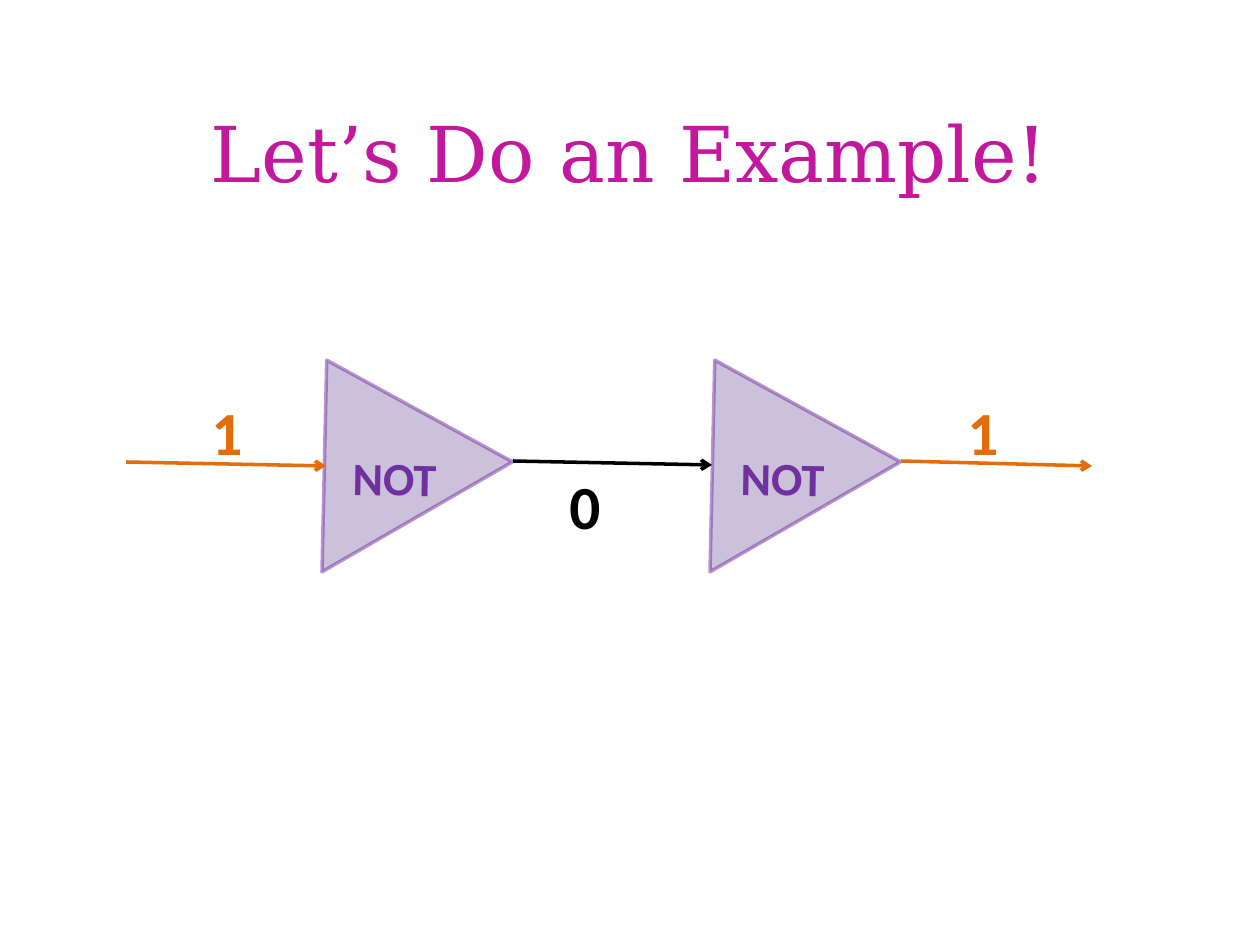
"""Build a slide that follows a bit through two chained NOT gates."""
from dataclasses import dataclass

from lxml.etree import SubElement
from pptx import Presentation
from pptx.dml.color import RGBColor as RGB
from pptx.enum.shapes import MSO_CONNECTOR as Connector, MSO_SHAPE as Shape
from pptx.enum.text import MSO_ANCHOR as Anchor, MSO_AUTO_SIZE as AutoSize, PP_ALIGN as Align
from pptx.oxml.ns import qn
from pptx.util import Emu, Pt


@dataclass(frozen=True)
class Theme:
    heading: str = "C2189E"
    gate: str = "B3A2C7"
    gate_ink: str = "7030A0"
    outer: str = "E46C0A"
    inner: str = "000000"
    heading_font: str = "DejaVu Serif"
    body_font: str = "Calibri"
    heading_size: float = 44
    gate_size: float = 26.5
    bit_size: float = 35
    stroke: float = 2


theme = Theme()


def px(*lengths):
    return [Emu(round(length * 914400 / 126)) for length in lengths]


def write(frame, words, font, size, color, bold=True):
    run = frame.paragraphs[0].add_run()
    run.text = words
    run.font.name = font
    run.font.size = Pt(size)
    run.font.bold = bold
    run.font.color.rgb = RGB.from_string(color)


deck = Presentation()
deck.slide_width, deck.slide_height = px(1260, 945)
slide = deck.slides.add_slide(deck.slide_layouts[6])
shapes = slide.shapes

heading = shapes.add_textbox(*px(63, 73, 1134, 158)).text_frame
heading.word_wrap = True
heading.vertical_anchor = Anchor.MIDDLE
heading.paragraphs[0].alignment = Align.CENTER
write(heading, "Let’s Do an Example!", theme.heading_font, theme.heading_size, theme.heading, False)

for left in (262, 650):
    gate = shapes.add_shape(Shape.ISOSCELES_TRIANGLE, *px(left, 348, 220, 181))
    gate.rotation = 330
    gate.shadow.inherit = False
    gate.fill.solid()
    gate.fill.fore_color.rgb = RGB.from_string(theme.gate)
    gate.line.color.rgb = RGB.from_string(theme.gate_ink)
    gate.line.width = Pt(theme.stroke)
    for paint, opacity in ((gate.fill, 66000), (gate.line.fill, 50000)):
        color = paint._xPr.find(".//" + qn("a:srgbClr")) if paint is gate.fill else gate.line._ln.find(".//" + qn("a:srgbClr"))
        SubElement(color, qn("a:alpha"), val=str(opacity))
    name = gate.text_frame
    name.word_wrap = False
    name.vertical_anchor = Anchor.MIDDLE
    name._txBody.bodyPr.set("rot", "1860000")
    name.paragraphs[0].alignment = Align.CENTER
    write(name, "NOT", theme.body_font, theme.gate_size, theme.gate_ink)

signals = [
    ("1", theme.outer, (126, 462, 326, 466), (199, 388)),
    ("1", theme.outer, (901, 461, 1092, 466), (955, 388)),
    ("0", theme.inner, (513, 461, 712, 465), (557, 462)),
]
for bit, color, ends, corner in signals:
    wire = shapes.add_connector(Connector.STRAIGHT, *px(*ends))
    wire.line.color.rgb = RGB.from_string(color)
    wire.line.width = Pt(theme.stroke)
    SubElement(wire.line._ln, qn("a:tailEnd"), type="arrow")
    SubElement(wire._element.spPr, qn("a:effectLst"))
    label = shapes.add_textbox(*px(*corner, 84, 87)).text_frame
    label.word_wrap = True
    label.auto_size = AutoSize.SHAPE_TO_FIT_TEXT
    write(label, bit, theme.body_font, theme.bit_size, color)

deck.save("out.pptx")
